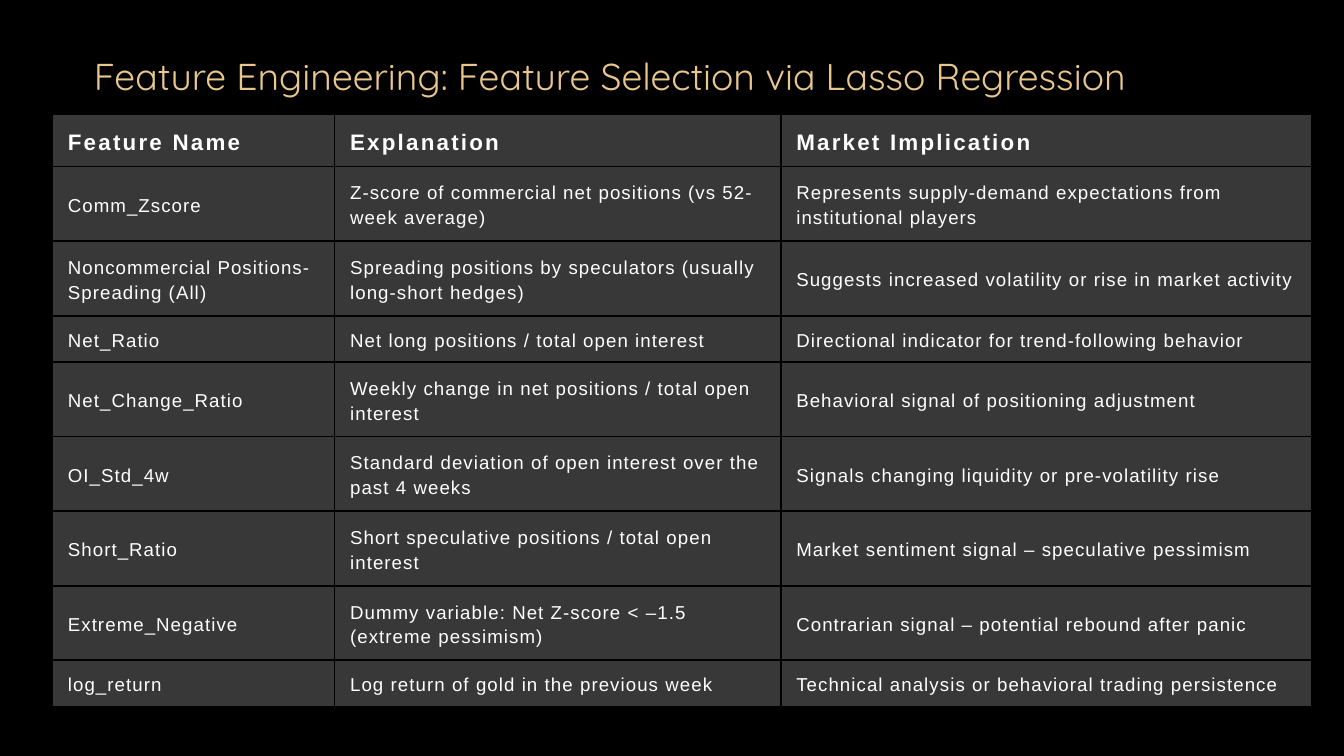
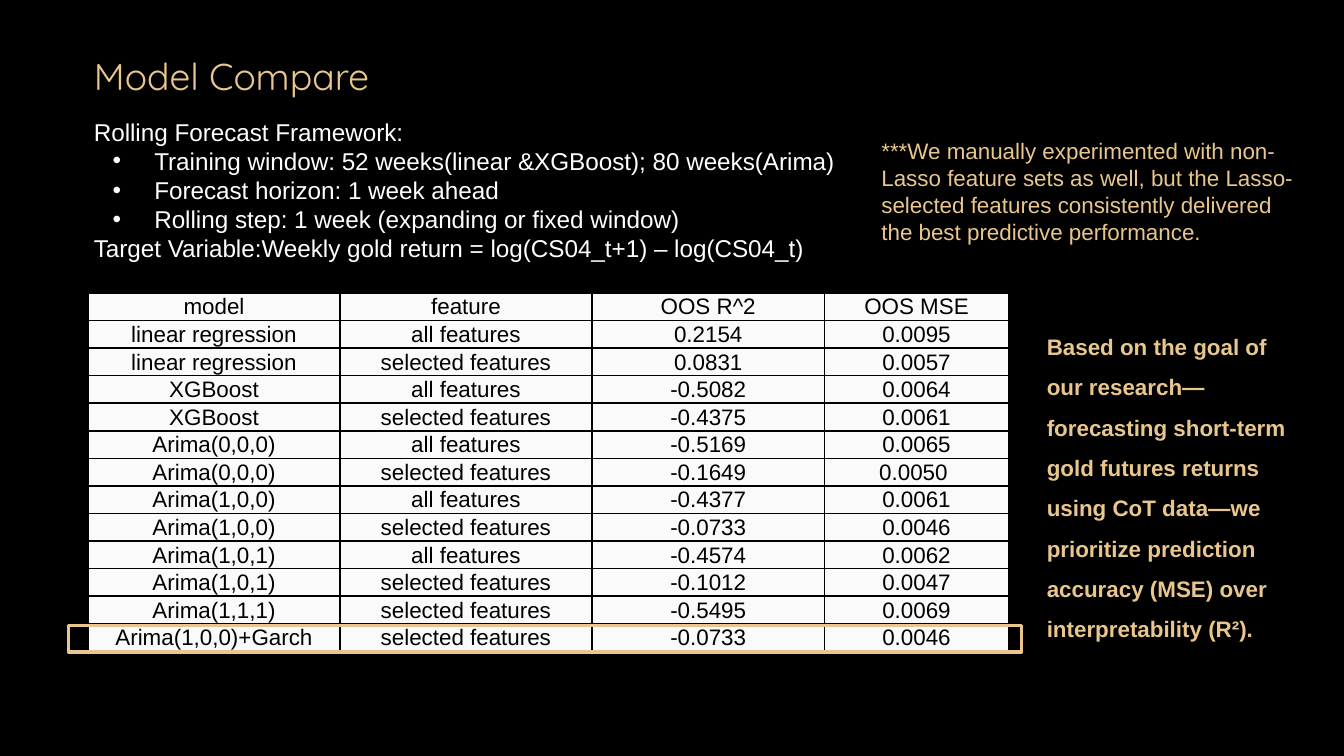
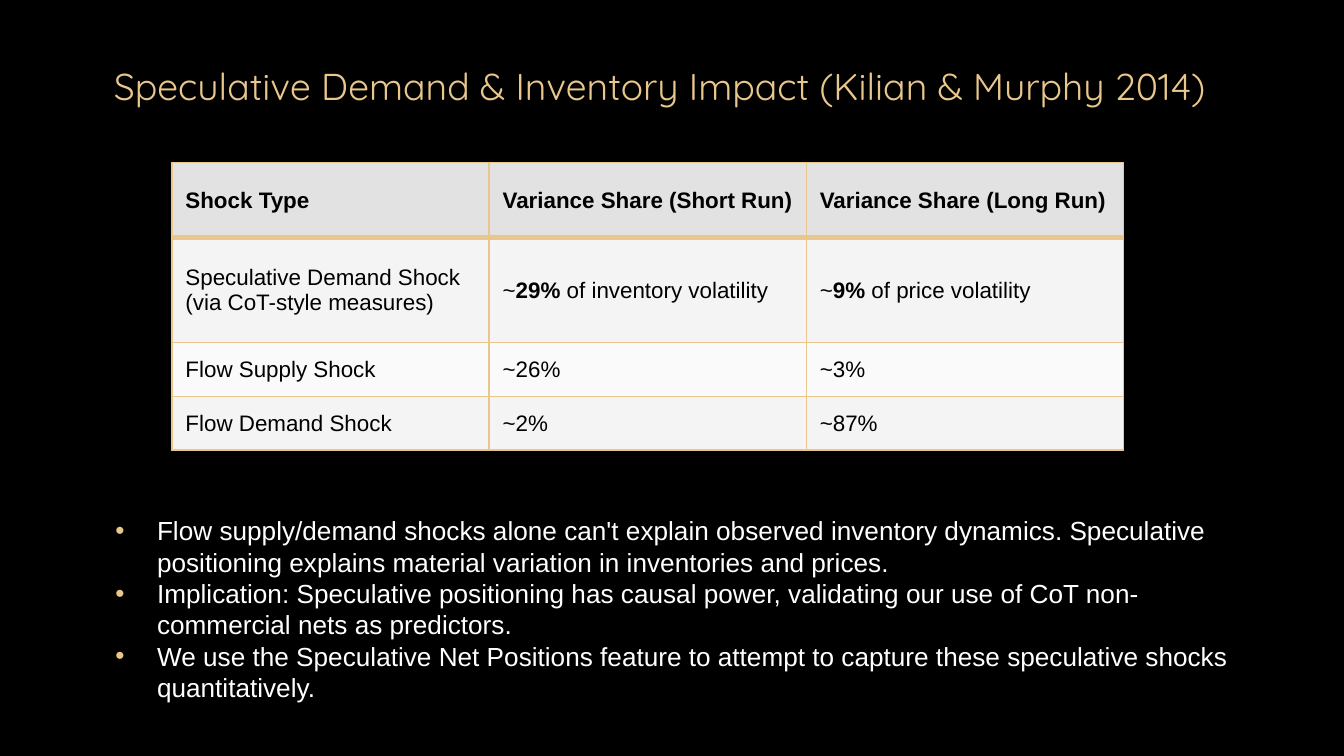
from lxml.etree import SubElement
from pptx import Presentation
from pptx.dml.color import RGBColor
from pptx.enum.shapes import MSO_SHAPE as Shape
from pptx.enum.text import MSO_ANCHOR as Anchor, PP_ALIGN as Align
from pptx.oxml import parse_xml
from pptx.oxml.ns import nsdecls, qn
from pptx.util import Inches, Pt

BLACK = RGBColor(0x00, 0x00, 0x00)
WHITE = RGBColor(0xFF, 0xFF, 0xFF)
GOLD = RGBColor(0xE9, 0xC7, 0x8C)
CHARCOAL = RGBColor(0x38, 0x38, 0x38)
PALE = RGBColor(0xFA, 0xFA, 0xFA)
MIST = RGBColor(0xF4, 0xF4, 0xF4)
SILVER = RGBColor(0xE2, 0xE2, 0xE2)
TITLE_FONT, BODY_FONT = "Quicksand", "Arial"

deck = Presentation()
deck.slide_width, deck.slide_height = Inches(10), Inches(5.625)
UNIT = deck.slide_width / 100  # square grid, 100 columns across the slide


def add_text(page, area, lines, size, color, font=BODY_FONT, bold=False,
             insets=(1, 0.5, 1, 0.5), spacing=None, bullet_color=None, bullet_left=5):
    """Place a text box; lines that start with a bullet sign become list items."""
    box = page.shapes.add_textbox(*(int(n * UNIT) for n in area))
    frame = box.text_frame
    frame.word_wrap = True
    (frame.margin_left, frame.margin_top,
     frame.margin_right, frame.margin_bottom) = (int(n * UNIT) for n in insets)
    for index, line in enumerate(lines):
        para = frame.add_paragraph() if index else frame.paragraphs[0]
        para.text = line.removeprefix("•")
        if line.startswith("•"):
            props = para._p.get_or_add_pPr()
            props.set("marL", str(int(bullet_left * UNIT)))
            props.set("indent", str(int(-3.1 * UNIT)))
            tint = SubElement(props, qn("a:buClr"))
            SubElement(tint, qn("a:srgbClr")).set("val", str(bullet_color))
            SubElement(props, qn("a:buFont")).set("typeface", font)
            SubElement(props, qn("a:buChar")).set("char", "•")
        if spacing:
            para.line_spacing = spacing
        for span in para.runs:
            span.font.name, span.font.size, span.font.bold = font, Pt(size), bold
            span.font.color.rgb = color


def add_grid(page, area, columns, heights, rows, color, fills, border, head_size=12,
             size=12, head_bold=False, head_rule=1, insets=(1, 0.5, 1, 0.5),
             align=Align.LEFT, spacing=None, tracking=(0, 0)):
    """Place a table; fills repeat row by row after the header, *stars* mark bold."""
    frame = page.shapes.add_table(len(rows), len(columns), *(int(n * UNIT) for n in area))
    table = frame.table
    table.first_row = table.horz_banding = False
    for column, width in zip(table.columns, columns):
        column.width = int(width * UNIT)
    for r, (row, height, texts) in enumerate(zip(table.rows, heights, rows)):
        row.height = int(height * UNIT)
        for cell, text in zip(row.cells, texts):
            cell.fill.solid()
            cell.fill.fore_color.rgb = fills[1 + (r - 1) % (len(fills) - 1)] if r else fills[0]
            cell.vertical_anchor = Anchor.MIDDLE
            (cell.margin_left, cell.margin_top,
             cell.margin_right, cell.margin_bottom) = (int(n * UNIT) for n in insets)
            # Borders
            widths = {"L": 1, "R": 1, "T": head_rule if r == 1 else 1,
                      "B": head_rule if r == 0 else 1}
            for place, (side, points) in enumerate(widths.items()):
                cell._tc.get_or_add_tcPr().insert(place, parse_xml(
                    f'<a:ln{side} {nsdecls("a")} w="{Pt(points)}"><a:solidFill>'
                    f'<a:srgbClr val="{border}"/></a:solidFill></a:ln{side}>'))
            # Text
            para = cell.text_frame.paragraphs[0]
            para.alignment = align
            if spacing:
                para.line_spacing = spacing
            for index, part in enumerate(text.split("*")):
                span = para.add_run()
                span.text = part
                span.font.name = BODY_FONT
                span.font.size = Pt(size if r else head_size)
                span.font.bold = index % 2 == 1 or (head_bold and r == 0)
                span.font.color.rgb = color
                if tracking[r > 0]:
                    span._r.get_or_add_rPr().set("spc", str(tracking[r > 0]))


# Pages with their shared background and title style
titles = [
    ("Feature Engineering: Feature Selection via Lasso Regression", (6, 3.95, 84.9, 5.8), 0),
    ("Model Compare", (6, 3.95, 84.9, 5.8), 0),
    ("Speculative Demand & Inventory Impact (Kilian & Murphy 2014)", (7.5, 3.7, 85, 5.8), 1),
]
pages = []
for title, area, top_inset in titles:
    page = deck.slides.add_slide(deck.slide_layouts[6])
    page.background.fill.solid()
    page.background.fill.fore_color.rgb = BLACK
    add_text(page, area, [title], 20, GOLD, TITLE_FONT, insets=(1, top_inset, 1, 1))
    pages.append(page)
feature_page, model_page, shock_page = pages

# Feature table
features = [
    ("Feature Name", "Explanation", "Market Implication"),
    ("Comm_Zscore", "Z-score of commercial net positions (vs 52-week average)",
     "Represents supply-demand expectations from institutional players"),
    ("Noncommercial Positions-Spreading (All)",
     "Spreading positions by speculators (usually long-short hedges)",
     "Suggests increased volatility or rise in market activity"),
    ("Net_Ratio", "Net long positions / total open interest",
     "Directional indicator for trend-following behavior"),
    ("Net_Change_Ratio", "Weekly change in net positions / total open interest",
     "Behavioral signal of positioning adjustment"),
    ("OI_Std_4w", "Standard deviation of open interest over the past 4 weeks",
     "Signals changing liquidity or pre-volatility rise"),
    ("Short_Ratio", "Short speculative positions / total open interest",
     "Market sentiment signal – speculative pessimism"),
    ("Extreme_Negative", "Dummy variable: Net Z-score < –1.5 (extreme pessimism)",
     "Contrarian signal – potential rebound after panic"),
    ("log_return", "Log return of gold in the previous week",
     "Technical analysis or behavioral trading persistence"),
]
one_line, two_lines = 3.45, 5.55
add_grid(feature_page, (3.9, 8.5, 93.8, 44.1), (21, 33.2, 39.5),
         [3.9] + [two_lines] * 2 + [one_line] + [two_lines] * 4 + [one_line],
         features, WHITE, (CHARCOAL, CHARCOAL), BLACK, size=10, head_bold=True,
         insets=(1.15, 0.7, 1.15, 0.7), spacing=1.2, tracking=(120, 60))

# Forecast setup and conclusion
add_text(model_page, (6, 7.7, 88, 13.3), [
    "Rolling Forecast Framework:",
    "•Training window: 52 weeks(linear &XGBoost); 80 weeks(Arima)",
    "•Forecast horizon: 1 week ahead",
    "•Rolling step: 1 week (expanding or fixed window)",
    "Target Variable:Weekly gold return = log(CS04_t+1) – log(CS04_t)",
], 13, WHITE, insets=(1, 1, 1, 1), bullet_color=WHITE, bullet_left=4.5)
add_text(model_page, (76.9, 23.3, 21.1, 25.2), [
    "Based on the goal of our research—forecasting short-term gold futures returns using "
    "CoT data—we prioritize prediction accuracy (MSE) over interpretability (R²).",
], 12, GOLD, bold=True, spacing=1.5)

# Model scores
ALL, SELECTED = "all features", "selected features"
scores = [
    ("model", "feature", "OOS R^2", "OOS MSE"),
    ("linear regression", ALL, "0.2154", "0.0095"),
    ("linear regression", SELECTED, "0.0831", "0.0057"),
    ("XGBoost", ALL, "-0.5082", "0.0064"),
    ("XGBoost", SELECTED, "-0.4375", "0.0061"),
    ("Arima(0,0,0)", ALL, "-0.5169", "0.0065"),
    ("Arima(0,0,0)", SELECTED, "-0.1649", "0.0050 "),
    ("Arima(1,0,0)", ALL, "-0.4377", "0.0061"),
    ("Arima(1,0,0)", SELECTED, "-0.0733", "0.0046"),
    ("Arima(1,0,1)", ALL, "-0.4574", "0.0062"),
    ("Arima(1,0,1)", SELECTED, "-0.1012", "0.0047"),
    ("Arima(1,1,1)", SELECTED, "-0.5495", "0.0069"),
    ("Arima(1,0,0)+Garch", SELECTED, "-0.0733", "0.0046"),
]
score_top, score_height = 21.8, 26.7
score_row = score_height / len(scores)
add_grid(model_page, (6.55, score_top, 68.5, score_height), (18.75, 18.75, 17.3, 13.7),
         [score_row] * len(scores), scores, BLACK, (PALE, PALE), BLACK,
         insets=(0.1, 0.05, 0.1, 0), align=Align.CENTER)

# Frame around the chosen model, the last row
marker_area = (5.1, score_top + score_height - score_row + 0.1, 70.9, score_row - 0.1)
marker = model_page.shapes.add_shape(
    Shape.RECTANGLE, *(int(n * UNIT) for n in marker_area))
marker.shadow.inherit = False
marker.fill.background()
marker.line.color.rgb = GOLD
marker.line.width = Pt(2)

add_text(model_page, (64.6, 9.7, 33.3, 9.1), [
    "***We manually experimented with non-Lasso feature sets as well, but the "
    "Lasso-selected features consistently delivered the best predictive performance.",
], 12, GOLD)

# Shock findings
add_text(shock_page, (5.7, 37.3, 86.8, 15.9), [
    "•Flow supply/demand shocks alone can't explain observed inventory dynamics. "
    "Speculative positioning explains material variation in inventories and prices.",
    "•Implication: Speculative positioning has causal power, validating our use of CoT "
    "non-commercial nets as predictors.",
    "•We use the Speculative Net Positions feature to attempt to capture these "
    "speculative shocks quantitatively.",
], 14, WHITE, insets=(1, 1, 1, 1), bullet_color=GOLD)

# Shock table
shocks = [
    ("Shock Type", "Variance Share (Short Run)", "Variance Share (Long Run)"),
    ("Speculative Demand Shock (via CoT-style measures)",
     "~*29%* of inventory volatility", "~*9%* of price volatility"),
    ("Flow Supply Shock", "~26%", "~3%"),
    ("Flow Demand Shock", "~2%", "~87%"),
]
add_grid(shock_page, (12.8, 12.1, 70.8, 21.4), [23.6] * 3, (5.6, 7.8, 4, 4), shocks,
         BLACK, (SILVER, MIST, PALE), GOLD, head_bold=True, head_rule=3)

deck.save("out.pptx")
